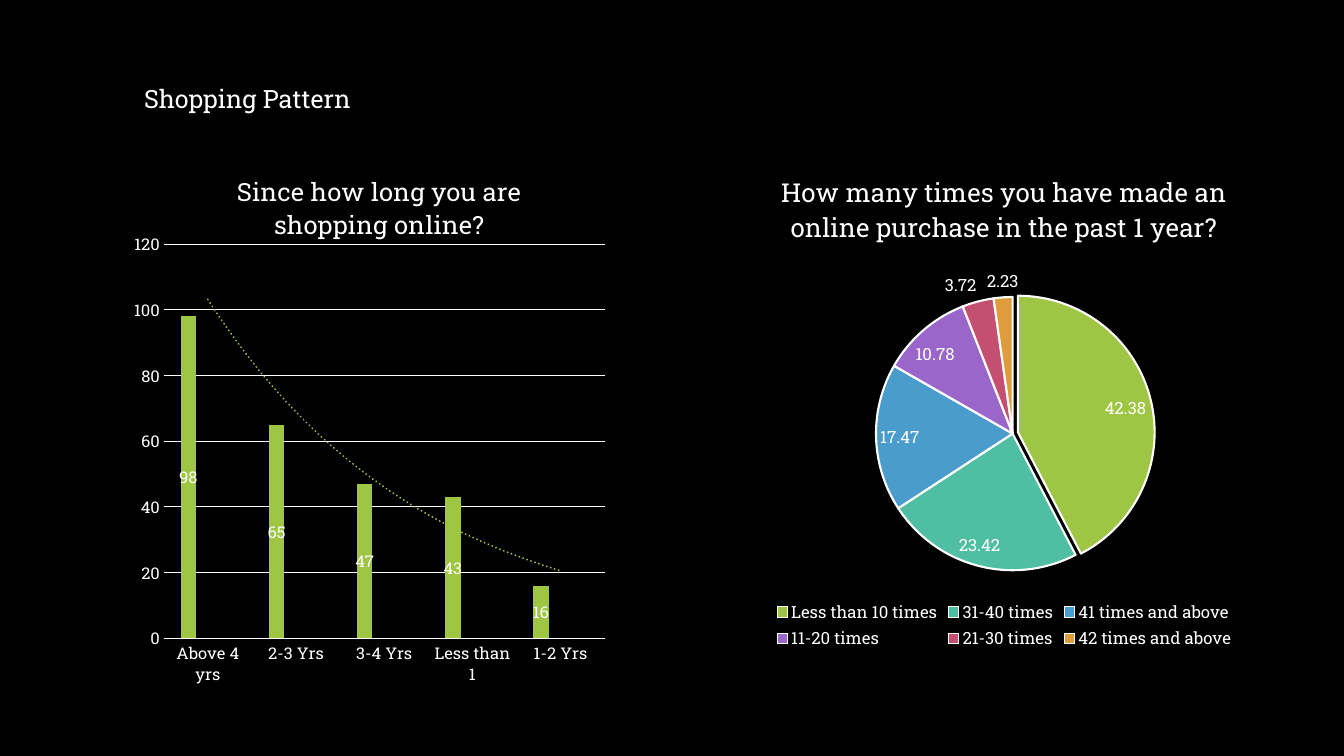
import pptx
import pptx.chart.data
import pptx.dml.color
import pptx.enum.chart
import pptx.oxml
import pptx.oxml.ns
import pptx.util

Inches = pptx.util.Inches
Pt = pptx.util.Pt
Color = pptx.dml.color.RGBColor
Enum = pptx.enum.chart

FACE = "Roboto Slab"
BLACK = Color(0x00, 0x00, 0x00)
WHITE = Color(0xFF, 0xFF, 0xFF)
GREEN = Color(0x9E, 0xC5, 0x44)
TEAL = Color(0x50, 0xBE, 0xA3)
BLUE = Color(0x4A, 0x9C, 0xCC)
PURPLE = Color(0x9A, 0x66, 0xCA)
ROSE = Color(0xC5, 0x4F, 0x71)
AMBER = Color(0xDE, 0x9C, 0x3C)
HUES = [GREEN, TEAL, BLUE, PURPLE, ROSE, AMBER]

YEARS = ["Above 4 yrs", "2-3 Yrs", "3-4 Yrs", "Less than 1", "1-2 Yrs"]
SINCE = [98, 65, 47, 43, 16]
TIMES = ["Less than 10 times", "31-40 times", "41 times and above",
         "11-20 times", "21-30 times", "42 times and above"]
SHARES = [42.38, 23.42, 17.47, 10.78, 3.72, 2.23]
ASK_SINCE = "Since how long you are shopping online?"
ASK_TIMES = "How many times you have made an online purchase in the past 1 year?"


def style(font, size):
    font.name = FACE
    font.size = Pt(size)
    font.bold = False
    font.color.rgb = WHITE


def paint(fill, color):
    fill.solid()
    fill.fore_color.rgb = color


def stroke(line, width):
    paint(line.fill, WHITE)
    line.width = Pt(width)


def make(tag, body="", **attrs):
    pairs = "".join(f' {key}="{val}"' for key, val in attrs.items())
    spaces = pptx.oxml.ns.nsdecls("c", "a")
    return pptx.oxml.parse_xml(f"<c:{tag} {spaces}{pairs}>{body}</c:{tag}>")


def find(node, tag):
    return node.find(pptx.oxml.ns.qn(f"c:{tag}"))


def add_text(slide, text, left, top, width, height):
    box = slide.shapes.add_textbox(
        Inches(left), Inches(top), Inches(width), Inches(height))
    box.text_frame.word_wrap = False
    run = box.text_frame.paragraphs[0].add_run()
    run.text = text
    style(run.font, 18)


def add_chart(slide, kind, title, cats, rows, left, top, width, height):
    data = pptx.chart.data.CategoryChartData()
    data.categories = cats
    for name, vals in rows:
        data.add_series(name, vals)
    chart = slide.shapes.add_chart(
        kind, Inches(left), Inches(top), Inches(width), Inches(height),
        data).chart
    style(chart.font, 10)
    chart.has_title = True
    run = chart.chart_title.text_frame.paragraphs[0].add_run()
    run.text = title
    style(run.font, 18.6)
    return chart


def add_labels(series, place):
    labels = series.data_labels
    labels.show_value = True
    labels.position = place
    style(labels.font, 12)


def set_plot(chart, left, top, width, height):
    area = chart.plots[0]._element.getparent()
    old = find(area, "layout")
    if old is not None:
        area.remove(old)
    sizes = {"x": left, "y": top, "w": width, "h": height}
    body = '<c:layoutTarget val="inner"/>'
    body += '<c:xMode val="edge"/><c:yMode val="edge"/>'
    body += "".join(f'<c:{key} val="{val}"/>' for key, val in sizes.items())
    area.insert(0, make("layout", f"<c:manualLayout>{body}</c:manualLayout>"))


def add_trend(series, color):
    body = (f'<c:spPr><a:ln w="{Pt(1.5)}" cap="rnd"><a:solidFill>'
            f'<a:srgbClr val="{color}"/></a:solidFill>'
            '<a:prstDash val="sysDot"/></a:ln></c:spPr>'
            '<c:trendlineType val="exp"/>'
            '<c:dispRSqr val="0"/><c:dispEq val="0"/>')
    find(series._element, "cat").addprevious(make("trendline", body))


def style_axes(chart):
    for axis in (chart.category_axis, chart.value_axis):
        axis.major_tick_mark = Enum.XL_TICK_MARK.NONE
        axis.minor_tick_mark = Enum.XL_TICK_MARK.NONE
        style(axis.tick_labels.font, 12)
    stroke(chart.category_axis.format.line, 0.75)
    scale = chart.value_axis
    scale.minimum_scale = 0
    scale.maximum_scale = 120
    scale.major_unit = 20
    scale.format.line.fill.background()
    scale.has_major_gridlines = True
    stroke(scale.major_gridlines.format.line, 0.75)


def add_bars(slide):
    blank = [None] * len(YEARS)
    rows = [("Series 1", SINCE), ("Series 2", blank), ("Series 3", blank)]
    chart = add_chart(slide, Enum.XL_CHART_TYPE.COLUMN_CLUSTERED, ASK_SINCE,
                      YEARS, rows, 1.33, 1.51, 4.81, 5.28)
    chart.has_legend = False
    style_axes(chart)
    plot = chart.plots[0]
    plot.gap_width = 219
    plot.overlap = -27
    plot.vary_by_categories = False
    for series, hue in zip(plot.series, HUES):
        paint(series.format.fill, hue)
        add_labels(series, Enum.XL_LABEL_POSITION.CENTER)
    add_trend(plot.series[0], GREEN)
    set_plot(chart, 0.05, 0.18, 0.92, 0.77)


def add_pie(slide):
    chart = add_chart(slide, Enum.XL_CHART_TYPE.PIE, ASK_TIMES, TIMES,
                      [(ASK_TIMES, SHARES)], 6.74, 1.51, 6.44, 4.97)
    chart.has_legend = True
    chart.legend.position = Enum.XL_LEGEND_POSITION.BOTTOM
    chart.legend.include_in_layout = False
    style(chart.legend.font, 12)
    plot = chart.plots[0]
    plot.vary_by_categories = True
    series = plot.series[0]
    for index, hue in enumerate(HUES):
        form = series.points[index].format
        paint(form.fill, hue)
        stroke(form.line, 1.5)
    first = find(series._element, "dPt")
    find(first, "spPr").addprevious(make("explosion", val=4))
    add_labels(series, Enum.XL_LABEL_POSITION.BEST_FIT)


def main():
    deck = pptx.Presentation()
    deck.slide_width = Inches(13.33)
    deck.slide_height = Inches(7.5)
    slide = deck.slides.add_slide(deck.slide_layouts[6])
    paint(slide.background.fill, BLACK)
    add_text(slide, "Shopping Pattern", 1.33, 0.78, 2.32, 0.4)
    add_bars(slide)
    add_pie(slide)
    deck.save("out.pptx")


if __name__ == "__main__":
    main()
